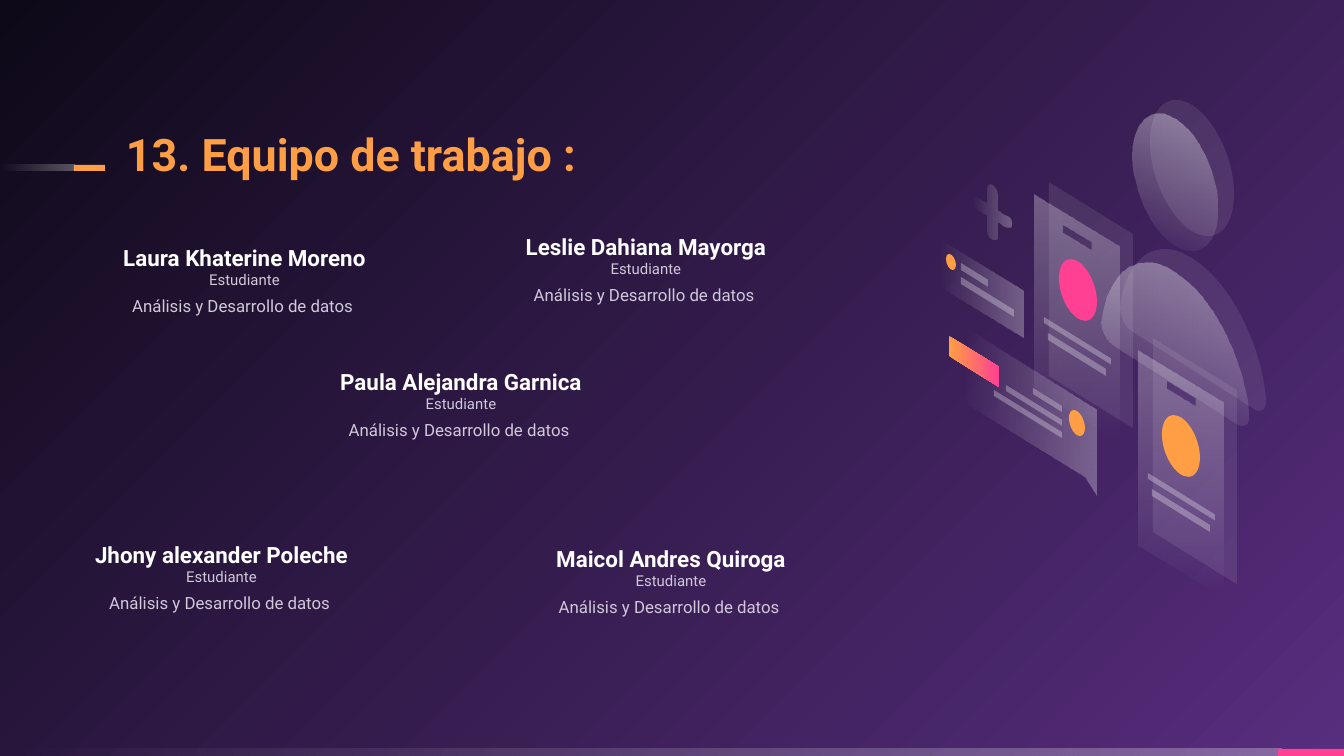
from copy import deepcopy
from math import atan2, cos, pi, sin, tan
from lxml.etree import SubElement
from pptx import Presentation
from pptx.dml.color import RGBColor
from pptx.enum.shapes import MSO_SHAPE
from pptx.enum.text import MSO_ANCHOR, PP_ALIGN
from pptx.oxml.ns import qn
from pptx.util import Pt

PX = 914400 / 134.4
SLOPE = 0.62  # drop per unit of width on the slanted artwork
WHITE = RGBColor(0xFF, 0xFF, 0xFF)
ORANGE = RGBColor(0xFF, 0x9E, 0x44)
PINK = RGBColor(0xFF, 0x40, 0x93)
LILAC = RGBColor(0xD1, 0xC8, 0xDA)
PURPLE = RGBColor(0x57, 0x2D, 0x7E)
NIGHT = RGBColor(0x0E, 0x09, 0x18)

# Fills: lists of (colour, opacity in percent); two entries make a gradient
FADE = [(WHITE, 29), (WHITE, 0)]
STRONG_FADE = [(WHITE, 40), (WHITE, 0)]
GHOST = [(WHITE, 9)]
VEIL = [(WHITE, 29)]


def paint(owner, fill, stops, angle=None):
    """Fill with one colour or a gradient; no angle means from the lower right corner."""
    if len(stops) == 1:
        fill.solid()
        fill.fore_color.rgb = stops[0][0]
        colors = [owner.element.find(".//" + qn("a:srgbClr"))]
    else:
        fill.gradient()
        gradient = owner.element.find(".//" + qn("a:gradFill"))
        for child in list(gradient):
            gradient.remove(child)
        stop_list = SubElement(gradient, qn("a:gsLst"))
        colors = []
        for position, (color, _) in zip(("0", "100000"), stops):
            stop = SubElement(stop_list, qn("a:gs"), pos=position)
            colors.append(SubElement(stop, qn("a:srgbClr"), val=str(color)))
        if angle is None:
            path = SubElement(gradient, qn("a:path"), path="circle")
            SubElement(path, qn("a:fillToRect"), l="100000", t="100000")
        else:
            SubElement(gradient, qn("a:lin"), ang=str(angle * 60000), scaled="0")
    for color, (_, opacity) in zip(colors, stops):
        if opacity < 100:
            SubElement(color, qn("a:alpha"), val=str(opacity * 1000))


def draw(contours, stops, angle=0):
    """Draw closed contours of points (x, y) and curves (x1, y1, x2, y2, x, y)."""
    builder = None
    for contour in contours:
        points = [(step[-2] * PX, step[-1] * PX) for step in contour]
        if builder is None:
            builder = slide.shapes.build_freeform(*points[0])
        else:
            builder.move_to(*points[0])
        builder.add_line_segments(points[1:], close=False)
        builder.add_line_segments([], close=True)
    shape = builder.convert_to_shape()
    # Turn the segments that have control points into Bezier curves
    segments = list(shape.element.iter(qn("a:lnTo")))
    steps = [step for contour in contours for step in contour[1:]]
    for segment, step in zip(segments, steps):
        if len(step) == 6:
            segment.tag = qn("a:cubicBezTo")
            end = segment[0]
            for x, y in (step[:2], step[2:4]):
                control = deepcopy(end)
                control.set("x", str(round(x * PX - shape.left)))
                control.set("y", str(round(y * PX - shape.top)))
                end.addprevious(control)
    shape.shadow.inherit = False
    paint(shape, shape.fill, stops, angle)
    shape.line.fill.background()


deck = Presentation()
deck.slide_width, deck.slide_height = round(1344 * PX), round(756 * PX)
slide = deck.slides.add_slide(deck.slide_layouts[6])
paint(slide, slide.background.fill, [(PURPLE, 100), (NIGHT, 100)])

# Footer bar and title accent
for *place, stops in [
    (0, 749, 1282, 7, FADE),
    (1278, 749, 66, 7, [(PINK, 100)]),
    (0, 165, 75, 6, FADE),
    (74, 165, 31, 6, [(ORANGE, 100)]),
]:
    bar = slide.shapes.add_shape(MSO_SHAPE.RECTANGLE, *(round(v * PX) for v in place))
    bar.shadow.inherit = False
    paint(bar, bar.fill, stops, 180)
    bar.line.fill.background()

# Shoulders with a ghost behind
for dx, dy, stops in [(0, 0, GHOST), (-18, 14, STRONG_FADE)]:
    shoulders = [
        (1193, 259), (1183, 252, 1173, 249, 1165, 249), (1141, 249, 1124, 272, 1120, 308),
        (1120, 316, 1125, 328, 1133, 332), (1254, 409),
        (1260, 414, 1267, 410, 1266, 399), (1261, 343, 1230, 282, 1193, 259),
    ]
    draw([[tuple(v + (dx, dy)[i % 2] for i, v in enumerate(step)) for step in shoulders]],
         stops, 110)

# Slanted panels and text bars: ([(left, top, width, height)], fill, angle)
slabs = [
    ([(939, 239, 84, 47)], FADE, 180),
    ([(961, 263, 27, 7)], VEIL, 0),
    ([(961, 277, 53, 7)], VEIL, 0),
]
for x, y in [(1139, 351), (1035, 195)]:
    slabs += [
        ([(x + 14, y - 13, 84, 194)], GHOST, 0),
        ([(x, y, 84, 194), (x + 28, y + 30, 28, 8)], FADE, 90),
        ([(x + 9, y + 122, 67, 6)], VEIL, 0),
        ([(x + 13, y + 138, 58, 7)], VEIL, 0),
    ]
slabs += [
    ([(949, 336, 50, 20)], [(ORANGE, 100), (PINK, 100)], 0),
    ([(1033, 388, 29, 6)], VEIL, 0),
    ([(1006, 385, 56, 6)], VEIL, 0),
    ([(994, 390, 68, 6)], VEIL, 0),
]

# Speech panel, slabs and plus sign
draw([[(1097, 410), (964, 327), (964, 402), (1085, 477), (1097, 496)]], FADE, 180)
for group, stops, angle in slabs:
    draw([[(x, y), (x + w, y + w * SLOPE), (x + w, y + w * SLOPE + h), (x, y + h)]
          for x, y, w, h in group], stops, angle)
draw([[
    (992, 185), (995, 187, 997, 191, 997, 195), (997, 210), (1005, 215),
    (1008, 216, 1011, 220, 1011, 224), (1011, 227, 1008, 228, 1005, 227),
    (997, 222), (997, 237), (997, 239, 995, 241, 992, 239),
    (989, 238, 987, 234, 987, 230), (987, 215), (978, 210),
    (975, 208, 973, 204, 973, 202), (973, 198, 975, 196, 978, 198),
    (987, 203), (987, 188), (987, 185, 989, 184, 992, 185),
]], FADE, 180)

# Slanted discs (heads, then dots), split at their outermost points
lowest = atan2(1.5, SLOPE)
turns = [0, lowest, pi, pi + lowest, 2 * pi]
for x, y, radius, stops in [
    (1192, 168, 42, GHOST),
    (1175, 182, 42, STRONG_FADE),
    (951, 262, 5, [(ORANGE, 100)]),
    (1181, 446, 19, [(ORANGE, 100)]),
    (1078, 290, 19, [(PINK, 100)]),
    (1077, 423, 8, [(ORANGE, 100)]),
]:
    disc = [(x + radius, y + radius * SLOPE)]
    for start, end in zip(turns, turns[1:]):
        reach = 4 / 3 * tan((end - start) / 4)
        circle = [(cos(start) - reach * sin(start), sin(start) + reach * cos(start)),
                  (cos(end) + reach * sin(end), sin(end) - reach * cos(end)),
                  (cos(end), sin(end))]
        disc.append(tuple(v for a, b in circle
                          for v in (x + radius * a, y + radius * (1.5 * b + SLOPE * a))))
    draw([disc], stops, 110)

# Title and team members
NAME = {"size": Pt(12), "bold": True, "color": WHITE}
ROLE = {"size": Pt(8), "bold": False, "color": LILAC}
FIELD = {"size": Pt(9), "bold": False, "color": LILAC}
TITLE = {"size": Pt(24), "bold": True, "color": ORANGE}
texts = [((126, 123, 780, 58), [[("13. Equipo de trabajo :", TITLE)]])]
for name, *place in [
    ("Laura Khaterine Moreno", 116, 244, 257, 109),
    ("Jhony alexander Poleche", 93, 541, 257, 125),
    ("Leslie Dahiana Mayorga", 525, 233, 242, 109),
    ("Maicol Andres Quiroga", 548, 545, 246, 125),
    ("Paula Alejandra Garnica", 338, 368, 246, 125),
]:
    texts.append((place, [[(name, NAME), ("Estudiante", ROLE)],
                          [("Análisis y Desarrollo de datos ", FIELD)]]))

for place, paragraphs in texts:
    is_title = len(paragraphs) == 1
    box = slide.shapes.add_textbox(*(round(v * PX) for v in place))
    frame = box.text_frame
    frame.word_wrap = True
    frame.vertical_anchor = MSO_ANCHOR.BOTTOM if is_title else MSO_ANCHOR.TOP
    for side in ("left", "top", "right", "bottom"):
        setattr(frame, "margin_" + side, 0)
    for index, spans in enumerate(paragraphs):
        para = frame.add_paragraph() if index else frame.paragraphs[0]
        para.alignment = PP_ALIGN.LEFT if is_title else PP_ALIGN.CENTER
        if is_title:
            para.line_spacing = 0.9
        if index:
            para.space_before = Pt(4)
        for order, (text, style) in enumerate(spans):
            if order:
                para.add_line_break()
                SubElement(box.element.find(".//" + qn("a:br")), qn("a:rPr"), sz="1200")
            span = para.add_run()
            span.text = text
            span.font.name = "Roboto"
            for key, value in style.items():
                if key == "color":
                    span.font.color.rgb = value
                else:
                    setattr(span.font, key, value)

deck.save("out.pptx")
